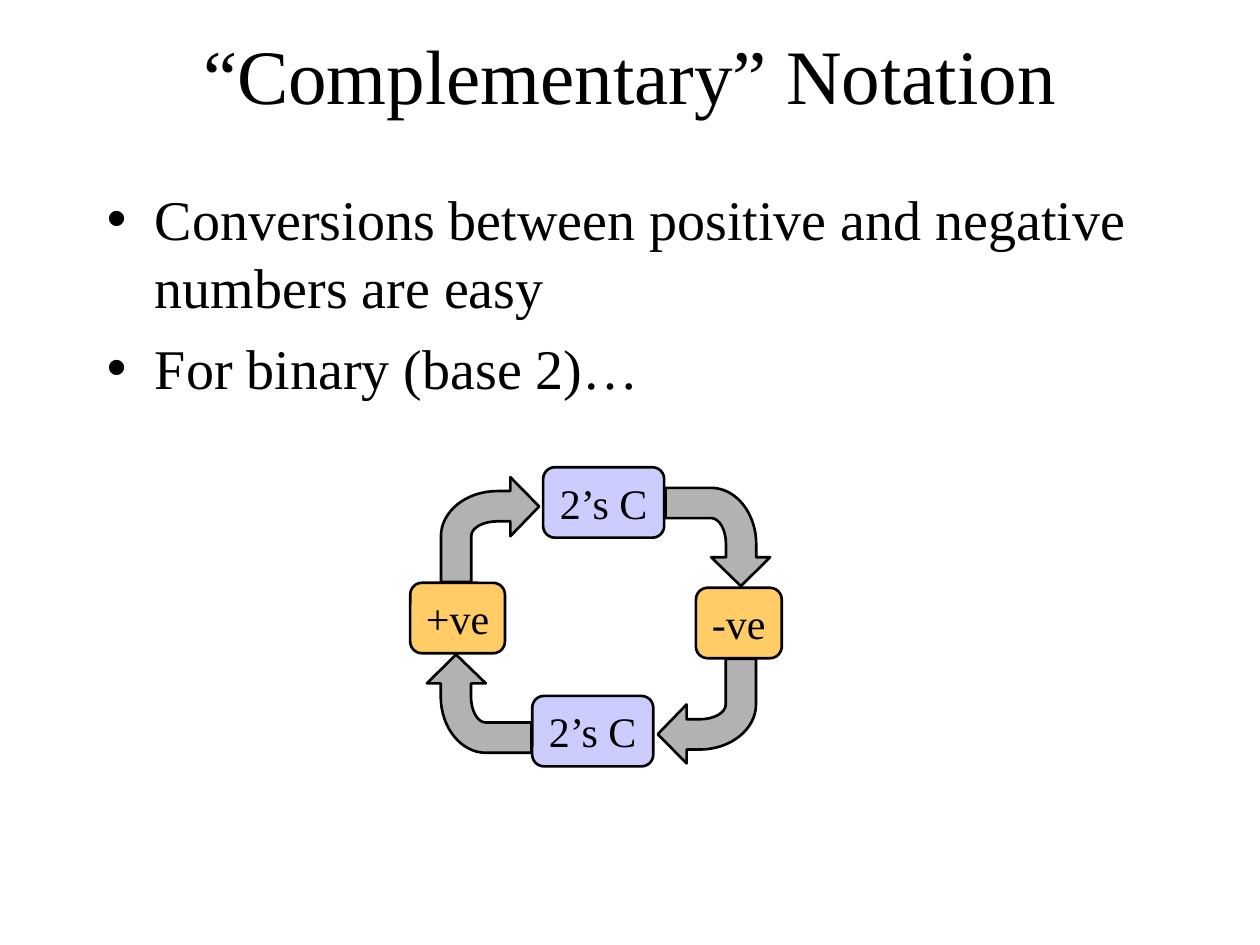
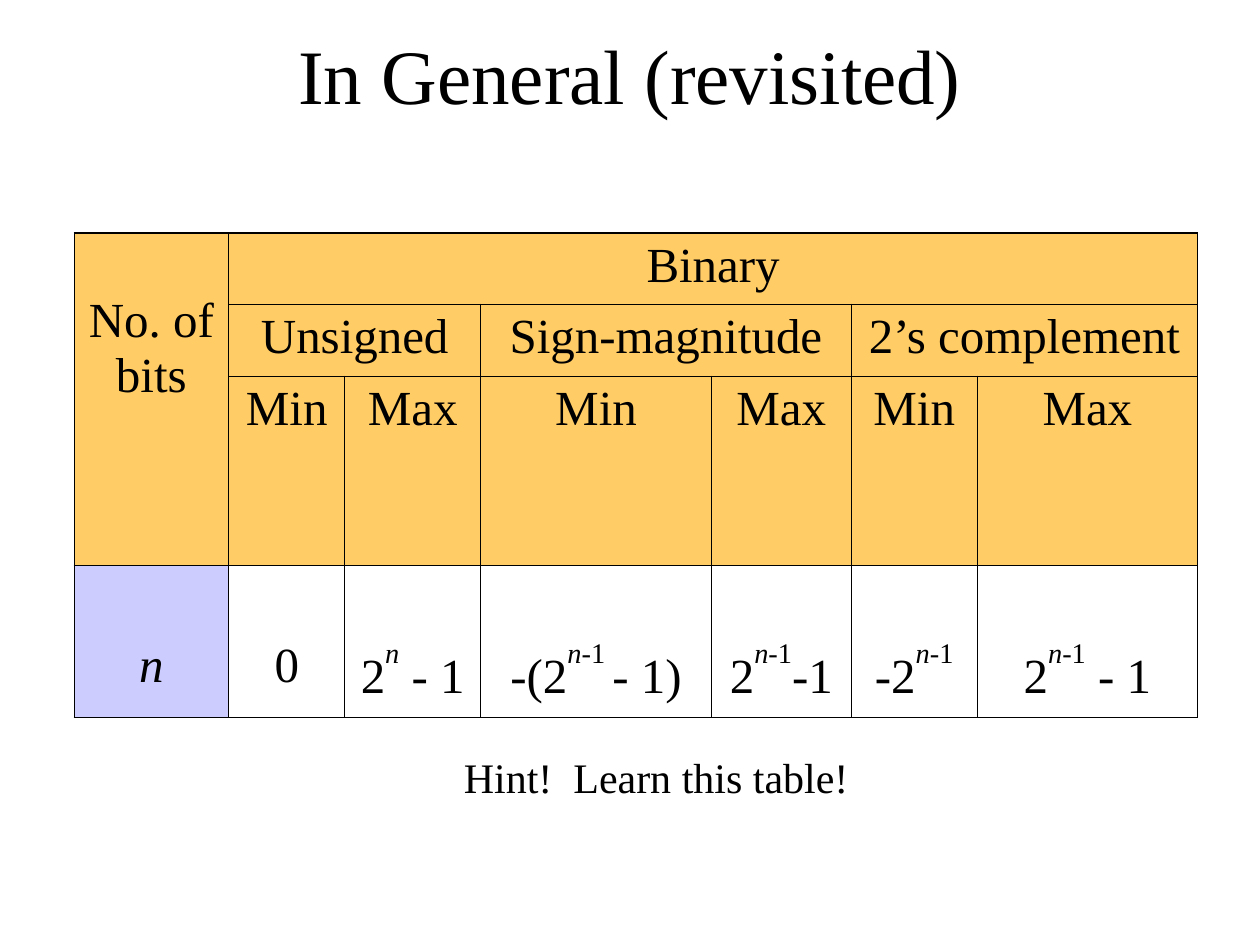
import pptx
import pptx.dml.color
import pptx.enum.shapes
import pptx.enum.text
import pptx.oxml
import pptx.oxml.ns
import pptx.util
from pptx.util import Cm, Pt

RGBColor = pptx.dml.color.RGBColor
ANCHOR = pptx.enum.text.MSO_ANCHOR
ALIGN = pptx.enum.text.PP_ALIGN
SHAPE = pptx.enum.shapes.MSO_SHAPE

BLACK = RGBColor(0x00, 0x00, 0x00)
ORANGE = RGBColor(0xFF, 0xCC, 0x66)
LILAC = RGBColor(0xCC, 0xCC, 0xFF)
GREY = RGBColor(0xB2, 0xB2, 0xB2)
FONT = "Times New Roman"
THIN, THICK = Pt(0.45), Pt(1.08)
NS = pptx.oxml.ns.nsdecls("a")

ARROW_OUTLINE = [
    (1.98, 0.59), (1.4, 0), (1.4, 0.28), (1.14, 0.28), (0, 1.19), (0, 2.11),
    (0.61, 2.11), (0.61, 1.19), (1.14, 0.89), (1.4, 0.89), (1.4, 1.19),
]
ARROW_BENDS = {4: [(0.51, 0.28), (0, 0.69)], 8: [(0.61, 1.02), (0.85, 0.89)]}

N_MINUS_1 = [("n", "is"), ("-1", "s")]
LIMITS = [
    [("n", "i")],
    [("0", "")],
    [("2", ""), ("n", "is"), (" - 1", "")],
    [("-(2", ""), ("n", "is"), ("-1 ", "s"), ("- 1)", "")],
    [("2", ""), *N_MINUS_1, ("-1", "")],
    [("-2", ""), *N_MINUS_1],
    [("2", ""), *N_MINUS_1, (" - 1", "")],
]


def add_run(p, text, size, style=""):
    r = p.add_run()
    r.text = text
    r.font.name = FONT
    r.font.size = Pt(size)
    r.font.color.rgb = BLACK
    if "i" in style:
        r.font.italic = True
    if "s" in style:
        r.font._element.set("baseline", "60000")


def place(sp, left, top, width, height):
    sp.left, sp.top, sp.width, sp.height = Cm(left), Cm(top), Cm(width), Cm(height)


def centre_text(tf, text, size, wrap=False):
    tf.auto_size = pptx.enum.text.MSO_AUTO_SIZE.NONE
    tf.word_wrap = wrap
    tf.vertical_anchor = ANCHOR.MIDDLE
    p = tf.paragraphs[0]
    p.alignment = ALIGN.CENTER
    add_run(p, text, size)


def add_slide(prs, layout, title):
    s = prs.slides.add_slide(prs.slide_layouts[layout])
    place(s.shapes.title, 1.9, 0.43, 21.6, 2.11)
    centre_text(s.shapes.title.text_frame, title, 44, wrap=True)
    return s


def add_bullets(s, items):
    sp = s.placeholders[1]
    place(sp, 1.9, 3.6, 21.59, 11.43)
    tf = sp.text_frame
    tf.auto_size = pptx.enum.text.MSO_AUTO_SIZE.NONE
    for i, item in enumerate(items):
        p = tf.add_paragraph() if i else tf.paragraphs[0]
        pPr = p._p.get_or_add_pPr()
        pPr.set("marL", str(Cm(0.97)))
        pPr.set("indent", str(-Cm(0.97)))
        pPr.append(pptx.oxml.parse_xml(f'<a:buChar {NS} char="•"/>'))
        p.space_before = Pt(8 if i else 0)
        add_run(p, item, 32)


def paint(sp, fill):
    sp.shadow.inherit = False
    sp.fill.solid()
    sp.fill.fore_color.rgb = fill
    sp.line.color.rgb = BLACK
    sp.line.width = Pt(1.5)


def add_label(s, text, left, top, width, fill):
    sp = s.shapes.add_shape(SHAPE.ROUNDED_RECTANGLE, Cm(left), Cm(top), Cm(width), Cm(1.42))
    paint(sp, fill)
    centre_text(sp.text_frame, text, 24)


def add_bent_arrow(s, left, top, rotation):
    points = [(Cm(x), Cm(y)) for x, y in ARROW_OUTLINE]
    builder = s.shapes.build_freeform(*points[0])
    builder.add_line_segments(points[1:], close=True)
    sp = builder.convert_to_shape(Cm(left), Cm(top))
    outline = sp._element.find(".//" + pptx.oxml.ns.qn("a:path"))
    for i, controls in ARROW_BENDS.items():
        pts = "".join(f'<a:pt x="{Cm(x)}" y="{Cm(y)}"/>' for x, y in [*controls, ARROW_OUTLINE[i]])
        bend = pptx.oxml.parse_xml(f"<a:cubicBezTo {NS}>{pts}</a:cubicBezTo>")
        outline.replace(outline[i], bend)
    sp.rotation = rotation
    paint(sp, GREY)


def set_borders(cell, **widths):
    tcPr = cell._tc.get_or_add_tcPr()
    for side, width in widths.items():
        tcPr.append(pptx.oxml.parse_xml(
            f'<a:ln{side} {NS} w="{width}"><a:solidFill>'
            f'<a:srgbClr val="{BLACK}"/></a:solidFill></a:ln{side}>'))


def fill_cell(cell, runs, top=0.12):
    cell.margin_top = Cm(top)
    p = cell.text_frame.paragraphs[0]
    p.alignment = ALIGN.CENTER
    for text, style in runs:
        add_run(p, text, 28, style)


def add_range_table(s):
    widths = [3.12, 2.34, 2.74, 4.65, 2.82, 2.54, 4.44]
    heights = [1.43, 1.45, 3.81, 3.07]
    rows, cols = len(heights), len(widths)
    right_edge = [(0, 1), (1, cols - 2)] + [(r, cols - 1) for r in range(rows)]
    frame = s.shapes.add_table(rows, cols, Cm(1.49), Cm(4.7), Cm(sum(widths)), Cm(sum(heights)))
    tbl = frame.table
    tbl.first_row = tbl.horz_banding = False
    for column, width in zip(tbl.columns, widths):
        column.width = Cm(width)
    for row, height in zip(tbl.rows, heights):
        row.height = Cm(height)

    for r in range(rows):
        for c in range(cols):
            cell = tbl.cell(r, c)
            set_borders(cell, L=THIN, R=THICK if (r, c) in right_edge else THIN,
                        T=THIN if r else THICK, B=THIN)
            if r == rows - 1 and c:
                cell.fill.background()
            else:
                cell.fill.solid()
                cell.fill.fore_color.rgb = LILAC if r == rows - 1 else ORANGE

    tbl.cell(0, 0).merge(tbl.cell(2, 0))
    fill_cell(tbl.cell(0, 0), [("No. of bits", "")], top=1.23)
    tbl.cell(0, 1).merge(tbl.cell(0, cols - 1))
    fill_cell(tbl.cell(0, 1), [("Binary", "")])
    for c, notation in zip(range(1, cols, 2), ["Unsigned", "Sign-magnitude", "2’s complement"]):
        tbl.cell(1, c).merge(tbl.cell(1, c + 1))
        fill_cell(tbl.cell(1, c), [(notation, "")])
        fill_cell(tbl.cell(2, c), [("Min", "")])
        fill_cell(tbl.cell(2, c + 1), [("Max", "")])
    for c, runs in enumerate(LIMITS):
        fill_cell(tbl.cell(3, c), runs, top=1.48)


def add_notation_slide(prs):
    s = add_slide(prs, 1, "“Complementary” Notation")
    add_bullets(s, ["Conversions between positive and negative numbers are easy",
                    "For binary (base 2)…"])
    add_label(s, "+ve", 8.27, 11.75, 1.91, ORANGE)
    add_label(s, "-ve", 14.03, 11.85, 1.73, ORANGE)
    add_label(s, "2’s C", 10.95, 9.42, 2.44, LILAC)
    add_label(s, "2’s C", 10.73, 14.03, 2.44, LILAC)
    corners = [(8.89, 9.62), (13.48, 9.77), (13.26, 13.28), (8.67, 13.13)]
    for turn, (left, top) in enumerate(corners):
        add_bent_arrow(s, left, top, 90 * turn)


def add_general_slide(prs):
    s = add_slide(prs, 5, "In General (revisited)")
    add_range_table(s)
    hint = s.shapes.add_textbox(Cm(9.1), Cm(15.02), Cm(8.26), Cm(1.27))
    centre_text(hint.text_frame, "Hint!  Learn this table!", 24)


def main():
    prs = pptx.Presentation()
    prs.slide_width, prs.slide_height = Cm(25.4), Cm(19.05)
    add_notation_slide(prs)
    add_general_slide(prs)
    prs.save("out.pptx")


if __name__ == "__main__":
    main()
